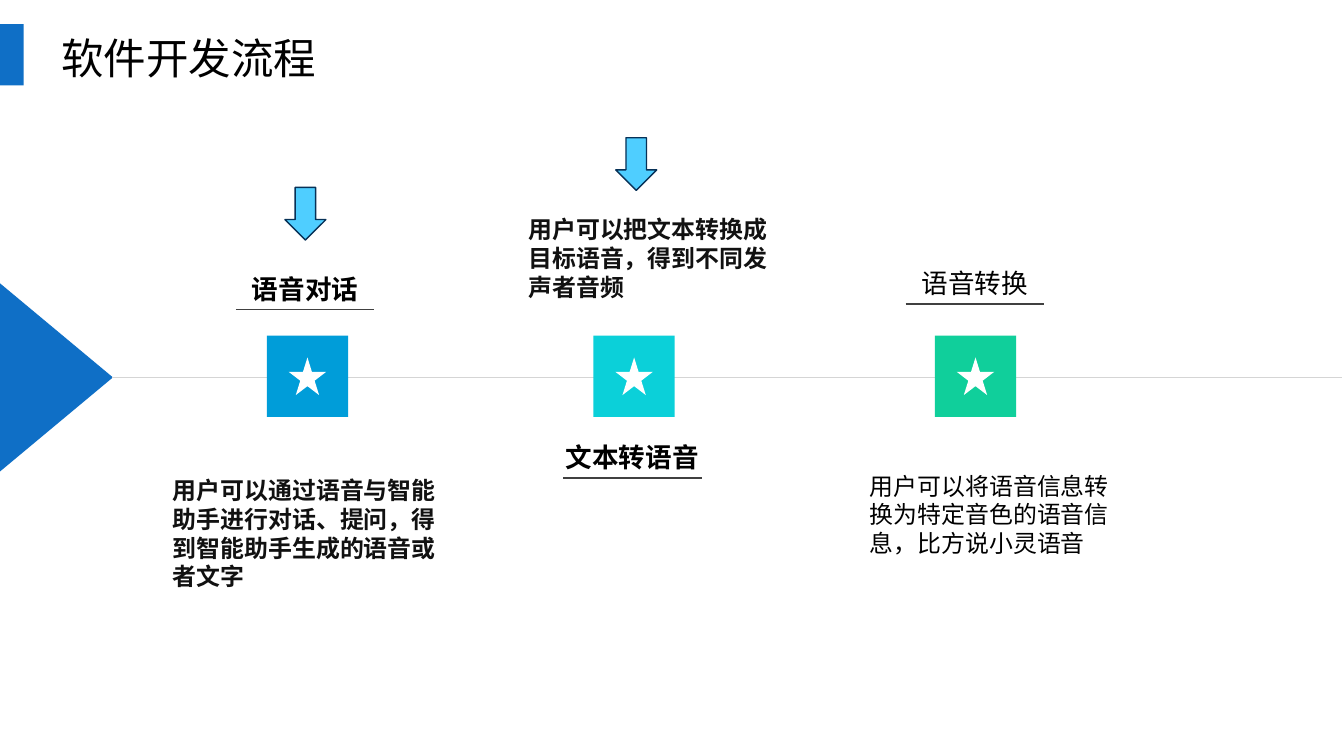
from pptx import Presentation
from pptx.dml.color import RGBColor
from pptx.enum.shapes import MSO_CONNECTOR, MSO_SHAPE
from pptx.enum.text import MSO_ANCHOR, MSO_AUTO_SIZE, PP_ALIGN
from pptx.oxml.ns import qn
from pptx.util import Cm, Pt
from lxml import etree

RECTANGLE = MSO_SHAPE.RECTANGLE
TRIANGLE = MSO_SHAPE.ISOSCELES_TRIANGLE
STAR = MSO_SHAPE.STAR_5_POINT
DOWN_ARROW = MSO_SHAPE.DOWN_ARROW
STRAIGHT = MSO_CONNECTOR.STRAIGHT
TOP = MSO_ANCHOR.TOP
NO_AUTOFIT = MSO_AUTO_SIZE.NONE
LEFT, CENTER = PP_ALIGN.LEFT, PP_ALIGN.CENTER

COLORS = {
    "accent": "0F6FC6",
    "axis": "D5D5D5",
    "underline": "404040",
    "white": "FFFFFF",
    "black": "000000",
    "body": "111111",
    "arrow": "4FCEFF",
    "arrow_edge": "073157",
    "blue": "009DD9",
    "cyan": "0BD0D9",
    "green": "10CF9B",
}

AXIS_Y = 10.03
BADGE_SIZE, STAR_SIZE = 2.16, 1
UNDERLINE_WIDTH, LABEL_WIDTH, LABEL_HEIGHT = 3.68, 4.06, 1.12

STEPS = [
    {
        "badge": (8.17, "blue"),
        "label": ("语音对话", 8.11, 8.23, True),
        "body": ("用户可以通过语音与智能助手进行对话、提问，得到智能助手生成的语音或者文字",
                 (4.34, 12.52, 7.57, 3.33)),
        "body_format": {"name": "Arial", "bold": True, "color": "body"},
        "arrow": (7.57, 4.98),
    },
    {
        "badge": (16.85, "cyan"),
        "label": ("文本转语音", 16.8, 12.7, True),
        "body": ("用户可以把文本转换成目标语音，得到不同发声者音频",
                 (13.79, 5.59, 7.11, 2.57)),
        "body_format": {"name": "Arial", "bold": True, "color": "body"},
        "arrow": (16.36, 3.66),
    },
    {
        "badge": (25.92, "green"),
        "label": ("语音转换", 25.9, 8.08, False),
        "body": ("用户可以将语音信息转换为特定音色的语音信息，比方说小灵语音",
                 (22.86, 12.4, 7.11, 2.57)),
        "body_format": {"name": "Calibri", "bold": False, "color": "black"},
        "arrow": None,
    },
]


def rgb(color):
    return RGBColor.from_string(COLORS[color])


def set_attributes(target, values):
    for name, value in values.items():
        setattr(target, name, value)


def write_text(box, text, align, size, color, **font_values):
    """Put one formatted paragraph in a wrapping, top-anchored frame."""
    set_attributes(box.text_frame, {
        "word_wrap": True, "auto_size": NO_AUTOFIT, "vertical_anchor": TOP})
    para = box.text_frame.paragraphs[0]
    para.alignment = align
    span = para.add_run()
    span.text = text
    set_attributes(span.font, {"size": Pt(size), **font_values})
    span.font.color.rgb = rgb(color)


def add_text(page, place, *args, **font_values):
    box = page.shapes.add_textbox(*map(Cm, place))
    write_text(box, *args, **font_values)


def add_block(page, kind, place, fill, edge=None, rotation=0):
    block = page.shapes.add_shape(kind, *map(Cm, place))
    block.shadow.inherit = False
    block.rotation = rotation
    block.fill.solid()
    block.fill.fore_color.rgb = rgb(fill)
    if edge:
        block.line.color.rgb = rgb(edge)
        block.line.width = Pt(1)
    else:
        block.line.fill.background()


def add_rule(page, start, end, y, color):
    rule = page.shapes.add_connector(STRAIGHT, Cm(start), Cm(y), Cm(end), Cm(y))
    rule.line.color.rgb = rgb(color)
    rule.line.width = Pt(1)
    properties = rule._element.find(qn("p:spPr"))
    etree.SubElement(properties, qn("a:effectLst"))


def add_title(page, text):
    title = page.shapes.title
    set_attributes(title, {"left": Cm(1.63), "top": Cm(0.84),
                           "width": Cm(7.2), "height": Cm(1.37)})
    margins = ("margin_left", "margin_top", "margin_right", "margin_bottom")
    set_attributes(title.text_frame, dict.fromkeys(margins, 0))
    write_text(title, text, LEFT, 32, "black", name="Arial")


def add_badge(page, center, color):
    for kind, size, fill in ((RECTANGLE, BADGE_SIZE, color), (STAR, STAR_SIZE, "white")):
        place = (center - size / 2, AXIS_Y - 0.03 - size / 2, size, size)
        add_block(page, kind, place, fill)


def add_label(page, text, center, underline_y, bold):
    half = UNDERLINE_WIDTH / 2
    add_rule(page, center - half, center + half, underline_y, "underline")
    place = (center - LABEL_WIDTH / 2, underline_y - 1.1, LABEL_WIDTH, LABEL_HEIGHT)
    add_text(page, place, text, CENTER, 20, "black", name="Arial", bold=bold)


def add_step(page, step):
    add_badge(page, *step["badge"])
    add_label(page, *step["label"])
    text, place = step["body"]
    add_text(page, place, text, LEFT, size=18, **step["body_format"])
    if step["arrow"]:
        add_block(page, DOWN_ARROW, (*step["arrow"], 1.09, 1.4), "arrow", "arrow_edge")


def main():
    deck = Presentation()
    deck.slide_width, deck.slide_height = Cm(35.71), Cm(20.09)
    page = deck.slides.add_slide(deck.slide_layouts[5])
    add_title(page, "软件开发流程")
    add_block(page, RECTANGLE, (0, 0.64, 0.63, 1.63), "accent")
    add_block(page, TRIANGLE, (-1, AXIS_Y - 1.5, 5, 3), "accent", rotation=90)
    add_rule(page, 2.97, 35.66, AXIS_Y, "axis")
    for step in STEPS:
        add_step(page, step)
    deck.save("out.pptx")


if __name__ == "__main__":
    main()
